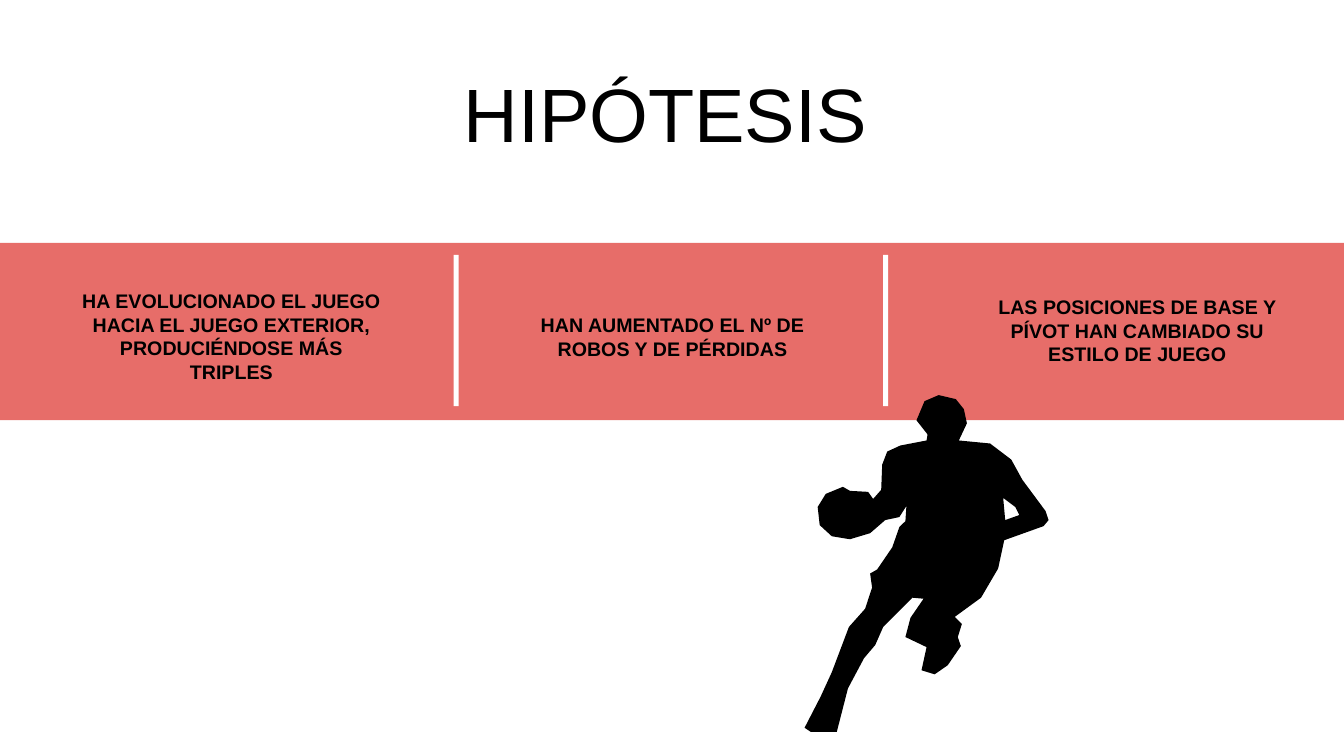
import pptx
import pptx.util
import pptx.dml.color
import pptx.enum.shapes
import pptx.enum.text
import pptx.oxml

PX = 9144
RED = pptx.dml.color.RGBColor(0xDE, 0x30, 0x2A)
WHITE = pptx.dml.color.RGBColor(0xFF, 0xFF, 0xFF)
BLACK = pptx.dml.color.RGBColor(0, 0, 0)

deck = pptx.Presentation()
deck.slide_width = 1333 * PX
deck.slide_height = 750 * PX
slide = deck.slides.add_slide(deck.slide_layouts[5])
shapes = slide.shapes


def paint(shape, color):
    shape.shadow.inherit = False
    shape.fill.solid()
    shape.fill.fore_color.rgb = color
    shape.line.fill.background()


def write(frame, text, size, bold, align):
    frame.word_wrap = True
    para = frame.paragraphs[0]
    para.alignment = align
    run = para.add_run()
    run.text = text
    run.font.name = "Arial"
    run.font.size = pptx.util.Pt(size)
    run.font.bold = bold
    run.font.color.rgb = BLACK


title = shapes.title
title.left, title.top, title.width, title.height = [n * PX for n in (450, 61, 677, 101)]
title.text_frame.auto_size = pptx.enum.text.MSO_AUTO_SIZE.NONE
title.text_frame.vertical_anchor = pptx.enum.text.MSO_ANCHOR.MIDDLE
write(title.text_frame, "HIPÓTESIS", 54, False, pptx.enum.text.PP_ALIGN.LEFT)

RECT = pptx.enum.shapes.MSO_SHAPE.RECTANGLE
band = shapes.add_shape(RECT, 0, 241 * PX, deck.slide_width, 176 * PX)
paint(band, RED)
tint = band.fill._xPr.find(".//" + pptx.oxml.ns.qn("a:srgbClr"))
alpha = pptx.oxml.parse_xml(
    '<a:alpha xmlns:a="http://schemas.openxmlformats.org/drawingml/2006/main" val="70000"/>')
tint.append(alpha)

for left in (450, 876):
    bar = shapes.add_shape(RECT, left * PX, 253 * PX, 5 * PX, 150 * PX)
    paint(bar, WHITE)

body = [
    (1037, 507), (1014, 476), (1003, 456), (982, 440), (951, 437), (959, 420),
    (956, 406), (948, 396), (931, 392), (917, 398), (909, 417), (920, 431),
    (919, 437), (893, 442), (880, 448), (875, 461), (874, 486), (866, 495),
    (861, 488), (843, 487), (836, 483), (819, 490), (811, 503), (813, 521),
    (825, 532), (843, 535), (863, 529), (878, 516), (892, 513), (899, 502),
    (898, 517), (892, 523), (885, 543), (870, 565), (863, 569), (865, 583),
    (858, 604), (842, 622), (825, 667), (814, 691), (798, 722), (804, 726),
    (830, 726), (841, 683), (857, 653), (868, 640), (876, 622), (905, 593),
    (916, 594), (903, 613), (898, 632), (919, 642), (914, 665), (927, 669),
    (940, 660), (953, 641), (950, 632), (954, 619), (947, 612), (973, 593),
    (990, 564), (996, 536), (1035, 522), (1040, 516)]
gap = [(1011, 511), (997, 516), (995, 494), (1007, 503)]
pen = shapes.build_freeform(*body[0], scale=PX)
pen.add_line_segments(body[1:], close=True)
pen.move_to(*gap[0])
pen.add_line_segments(gap[1:], close=True)
paint(pen.convert_to_shape(), BLACK)

ideas = [
    (68, 282, 323, 104, "HA EVOLUCIONADO EL JUEGO HACIA EL JUEGO EXTERIOR, PRODUCIÉNDOSE MÁS TRIPLES"),
    (517, 306, 300, 57, "HAN AUMENTADO EL Nº DE ROBOS Y DE PÉRDIDAS"),
    (978, 288, 300, 81, "LAS POSICIONES DE BASE Y PÍVOT HAN CAMBIADO SU ESTILO DE JUEGO")]
for left, top, width, height, text in ideas:
    box = shapes.add_textbox(left * PX, top * PX, width * PX, height * PX)
    write(box.text_frame, text, 14, True, pptx.enum.text.PP_ALIGN.CENTER)

deck.save("out.pptx")
